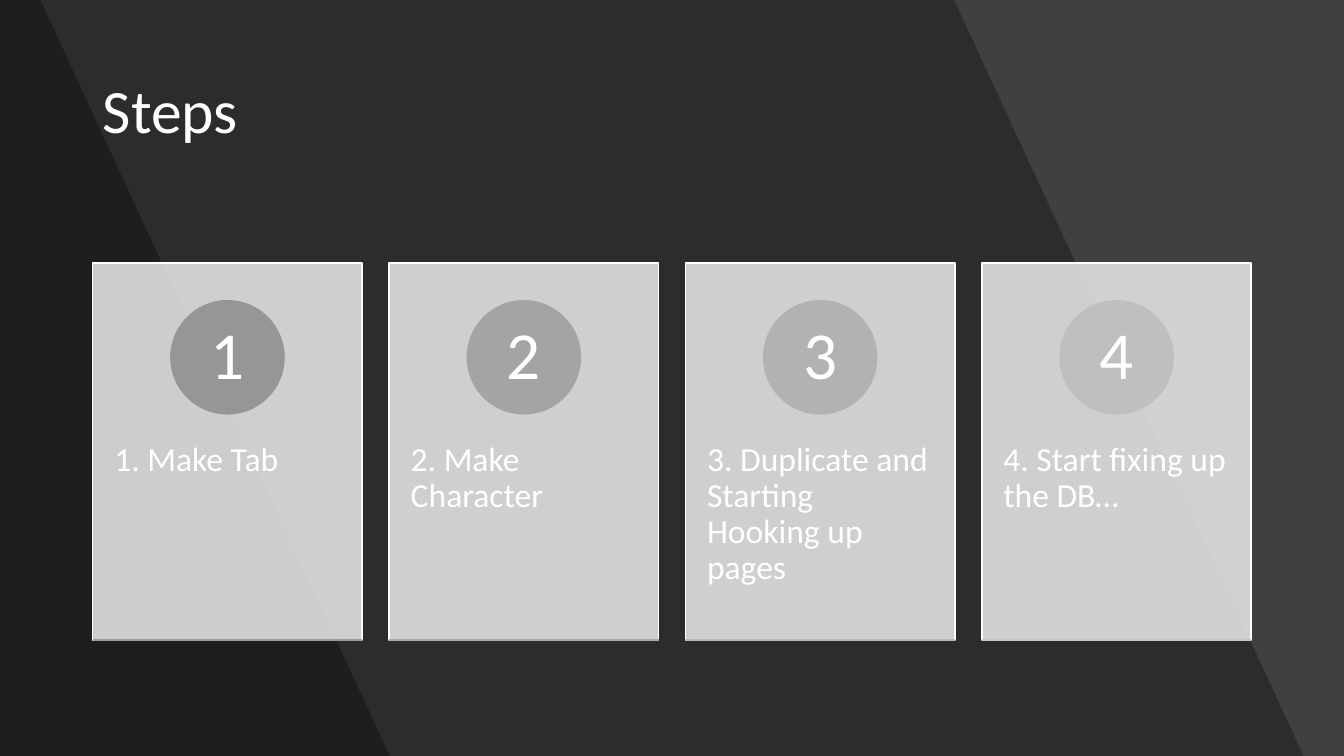
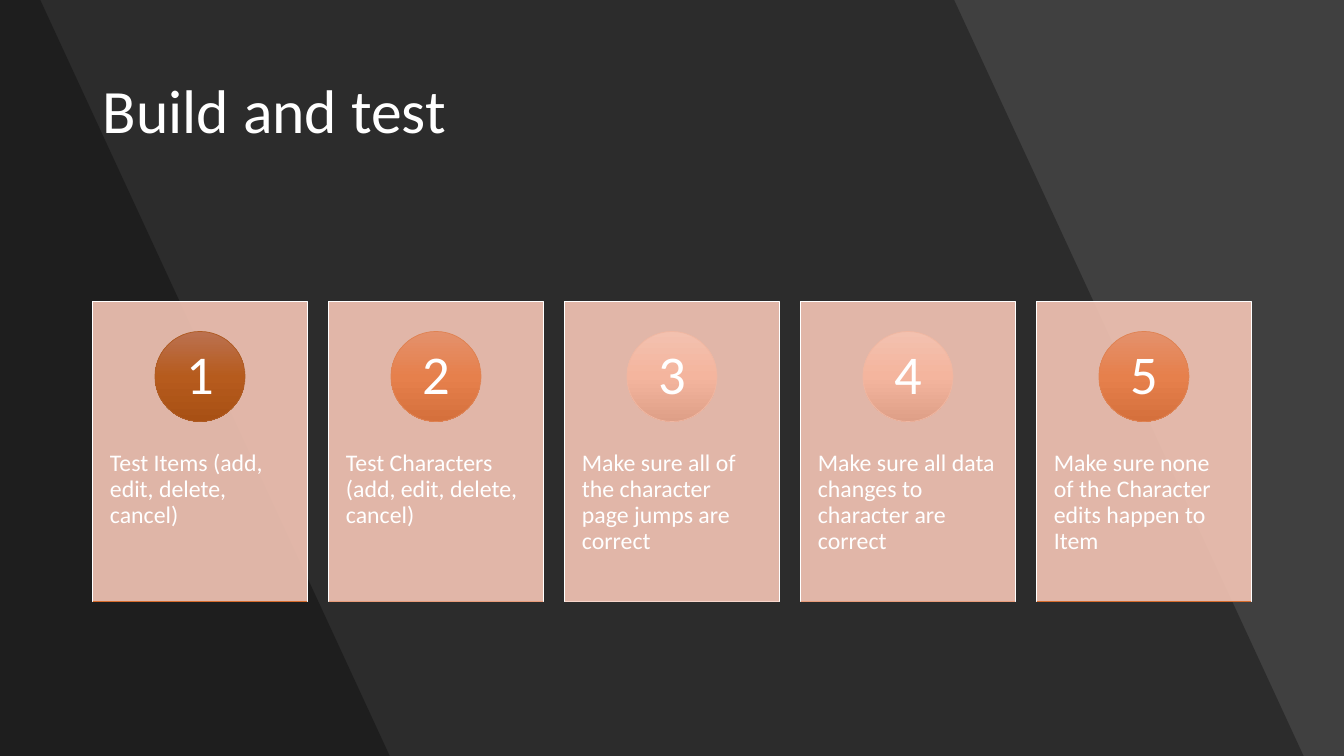
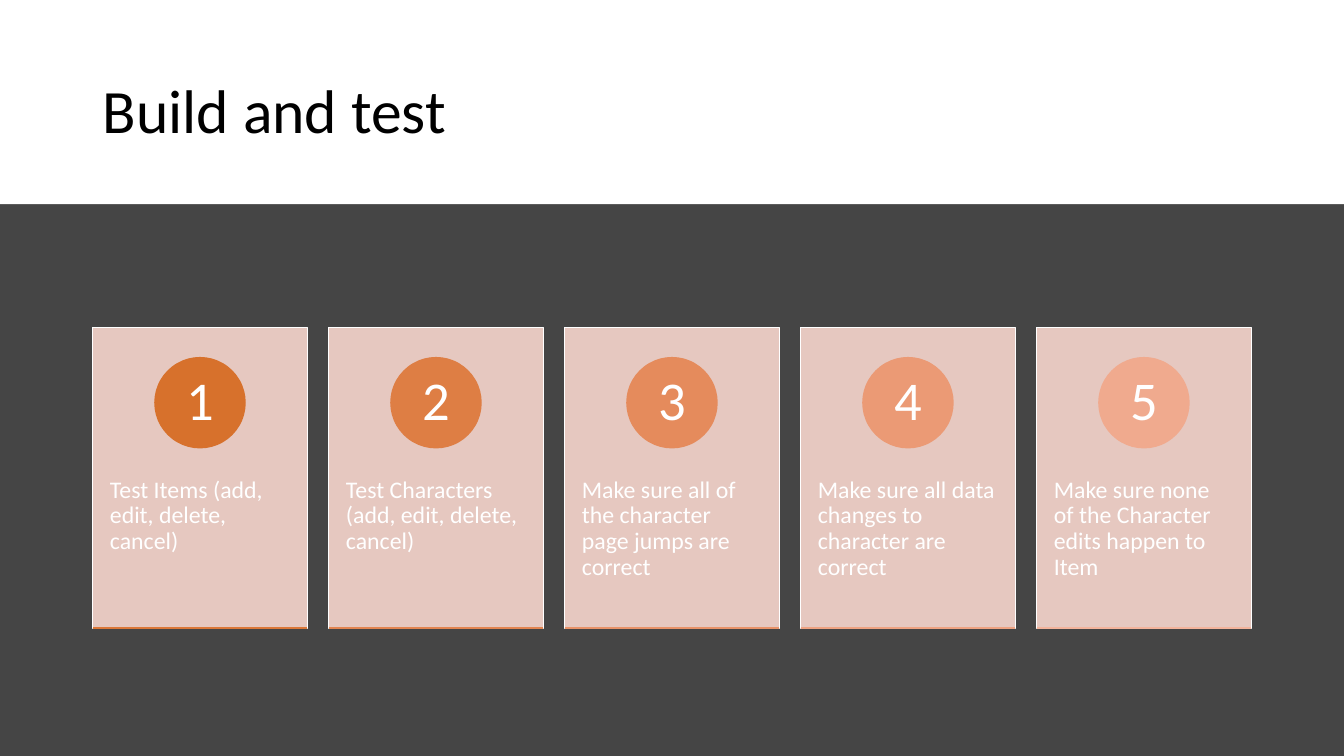
from copy import deepcopy
from dataclasses import dataclass

from lxml.etree import SubElement
from pptx import Presentation
from pptx.dml.color import RGBColor
from pptx.enum.shapes import MSO_CONNECTOR, MSO_SHAPE
from pptx.enum.text import MSO_ANCHOR, MSO_AUTO_SIZE, PP_ALIGN
from pptx.oxml.ns import qn
from pptx.util import Inches, Pt

WHITE = RGBColor(0xFF, 0xFF, 0xFF)
BLACK = RGBColor(0x00, 0x00, 0x00)
CHARCOAL = RGBColor(0x40, 0x40, 0x40)
SLATE = RGBColor(0x45, 0x45, 0x45)
SILVER = RGBColor(0xE1, 0xE1, 0xE1)
PEACH = RGBColor(0xF5, 0xC6, 0xB6)
BLUSH = RGBColor(0xF8, 0xD7, 0xCE)


@dataclass
class Tone:
    line: RGBColor
    stops: tuple = ()


def flat_tones(*codes):
    return [Tone(RGBColor.from_string(code)) for code in codes]


def shaded_tone(line, *stops):
    return Tone(RGBColor.from_string(line), tuple(RGBColor.from_string(stop) for stop in stops))


RUST = shaded_tone("AF5C24", "BB7150", "B65B1D", "A85014")
COPPER = shaded_tone("DF8353", "E4916C", "E6804C", "D5703C")
APRICOT = shaded_tone("F0B7A2", "F3C1AF", "F4B59E", "DE9F87")
SHADED_BADGES = [RUST, COPPER, APRICOT, APRICOT, COPPER]
SHADED_BASES = flat_tones("D66C2D", "E89C7A", "F7D5CA", "E89C7A", "D66C2D")
GREY_BADGES = flat_tones("969696", "A4A4A4", "B2B2B2", "BFBFBF")
GREY_BASES = flat_tones("9D9D9D", "ABABAB", "B9B9B9", "C6C6C6")
ORANGE_BADGES = flat_tones("D7712C", "DE7E44", "E58B5C", "EB9A75", "F0AA8E")
ORANGE_BASES = flat_tones("DB7738", "E28450", "E89268", "EEA281", "F3B39B")

STEPS = [
    "1. Make Tab",
    "2. Make Character",
    "3. Duplicate and Starting Hooking up pages",
    "4. Start fixing up the DB…",
]
TESTS = [
    "Test Items (add, edit, delete, cancel)",
    "Test Characters (add, edit, delete, cancel)",
    "Make sure all of the character page jumps are correct",
    "Make sure all data changes to character are correct",
    "Make sure none of the Character edits happen to Item",
]


class StepDeck:
    font_name = "Calibri"
    title_size = 44
    title_only_layout = 5
    margin = Inches(0.92)
    gap_share = 0.1

    def __init__(self):
        self.deck = Presentation()
        self.deck.slide_width = Inches(13.33)
        self.deck.slide_height = Inches(7.5)
        self.width = self.deck.slide_width
        self.height = self.deck.slide_height
        self.page = None

    def add_page(self, title, background, title_color):
        layout = self.deck.slide_layouts[self.title_only_layout]
        self.page = self.deck.slides.add_slide(layout)
        fill = self.page.background.fill
        fill.solid()
        fill.fore_color.rgb = background
        box = self.page.shapes.title
        box.left, box.top = self.margin, Inches(0.4)
        box.width, box.height = self.width - 2 * self.margin, Inches(1.45)
        box.text_frame.auto_size = MSO_AUTO_SIZE.NONE
        self.set_text(box, title, self.title_size, title_color, PP_ALIGN.LEFT, MSO_ANCHOR.MIDDLE)

    def set_text(self, shape, text, size, color, align, anchor):
        frame = shape.text_frame
        frame.word_wrap = True
        frame.vertical_anchor = anchor
        para = frame.paragraphs[0]
        para.text = text
        para.alignment = align
        para.line_spacing = 0.9
        para.font.name = self.font_name
        para.font.size = Pt(size)
        para.font.color.rgb = color

    def inset(self, shape, side, top, bottom):
        frame = shape.text_frame
        frame.margin_left = frame.margin_right = int(side)
        frame.margin_top, frame.margin_bottom = int(top), int(bottom)

    def paint(self, shape, color, opacity=100):
        shape.shadow.inherit = False
        shape.fill.solid()
        shape.fill.fore_color.rgb = color
        if opacity < 100:
            solid = shape.element.spPr.find(qn("a:solidFill"))
            SubElement(solid[0], qn("a:alpha")).set("val", str(opacity * 1000))

    def shade(self, shape, stops):
        shape.shadow.inherit = False
        shape.fill.gradient()
        shape.fill.gradient_angle = 270
        stop_list = shape.element.spPr.find(qn("a:gradFill")).find(qn("a:gsLst"))
        stop_list.append(deepcopy(stop_list[0]))
        for index, (stop, color) in enumerate(zip(shape.fill.gradient_stops, stops)):
            stop.color.rgb = color
            stop.position = index / (len(stops) - 1)

    def outline(self, shape, color, weight):
        shape.line.color.rgb = color
        shape.line.width = Pt(weight)

    def send_behind_title(self, shape):
        shape.line.fill.background()
        self.page.shapes.title.element.addprevious(shape.element)

    def add_slanted_panel(self, top_share, bottom_share):
        builder = self.page.shapes.build_freeform(0, 0, scale=1.0)
        corners = [
            (int(self.width * top_share), 0),
            (int(self.width * bottom_share), self.height),
            (0, self.height),
        ]
        builder.add_line_segments(corners, close=True)
        panel = builder.convert_to_shape()
        self.paint(panel, BLACK, opacity=30)
        self.send_behind_title(panel)

    def add_slanted_backdrop(self):
        self.add_slanted_panel(0.71, 0.97)
        self.add_slanted_panel(0.03, 0.29)

    def add_title_band(self, height_share):
        band = self.page.shapes.add_shape(
            MSO_SHAPE.RECTANGLE, 0, 0, self.width, int(self.height * height_share)
        )
        self.paint(band, WHITE)
        self.send_behind_title(band)

    def add_card(self, left, top, width, text, size, color, weight):
        card = self.page.shapes.add_shape(
            MSO_SHAPE.RECTANGLE, int(left), int(top), int(width), int(1.4 * width)
        )
        self.paint(card, color, opacity=90)
        self.outline(card, WHITE, weight)
        self.inset(card, 0.08 * width, 0.53 * width + Inches(0.36), 0)
        self.set_text(card, text, size, WHITE, PP_ALIGN.LEFT, MSO_ANCHOR.TOP)

    def add_badge(self, left, top, width, number, size, tone, weight):
        diameter = int(0.42 * width)
        badge = self.page.shapes.add_shape(
            MSO_SHAPE.OVAL, int(left + 0.29 * width), int(top + 0.14 * width), diameter, diameter
        )
        if tone.stops:
            self.shade(badge, tone.stops)
        else:
            self.paint(badge, tone.line)
        self.outline(badge, tone.line, weight)
        self.inset(badge, 0.03 * width, Inches(0.01), Inches(0.01))
        self.set_text(badge, str(number), size, WHITE, PP_ALIGN.CENTER, MSO_ANCHOR.MIDDLE)

    def add_base(self, left, top, width, tone, weight):
        bottom = int(top + 1.4 * width)
        base = self.page.shapes.add_connector(
            MSO_CONNECTOR.STRAIGHT, int(left), bottom, int(left + width), bottom
        )
        self.outline(base, tone.line, weight)
        SubElement(base.element.spPr, qn("a:effectLst"))

    def add_card_row(self, texts, badges, bases, color, middle, text_size, number_size, weight=1):
        count = len(texts)
        width = (self.width - 2 * self.margin) / (count + self.gap_share * (count - 1))
        top = Inches(middle) - 0.7 * width
        for index, (text, badge, base) in enumerate(zip(texts, badges, bases)):
            left = self.margin + index * width * (1 + self.gap_share)
            self.add_card(left, top, width, text, text_size, color, weight)
            self.add_badge(left, top, width, index + 1, number_size, badge, weight)
            self.add_base(left, top, width, base, weight)


def main():
    steps = StepDeck()

    steps.add_page("Steps", CHARCOAL, WHITE)
    steps.add_slanted_backdrop()
    steps.add_card_row(STEPS, GREY_BADGES, GREY_BASES, SILVER, 4.48, 24, 48)

    steps.add_page("Build and test", CHARCOAL, WHITE)
    steps.add_slanted_backdrop()
    steps.add_card_row(TESTS, SHADED_BADGES, SHADED_BASES, PEACH, 4.48, 17, 39, weight=0.5)

    steps.add_page("Build and test", SLATE, BLACK)
    steps.add_title_band(0.27)
    steps.add_card_row(TESTS, ORANGE_BADGES, ORANGE_BASES, BLUSH, 4.74, 17, 39)

    steps.deck.save("out.pptx")


if __name__ == "__main__":
    main()
